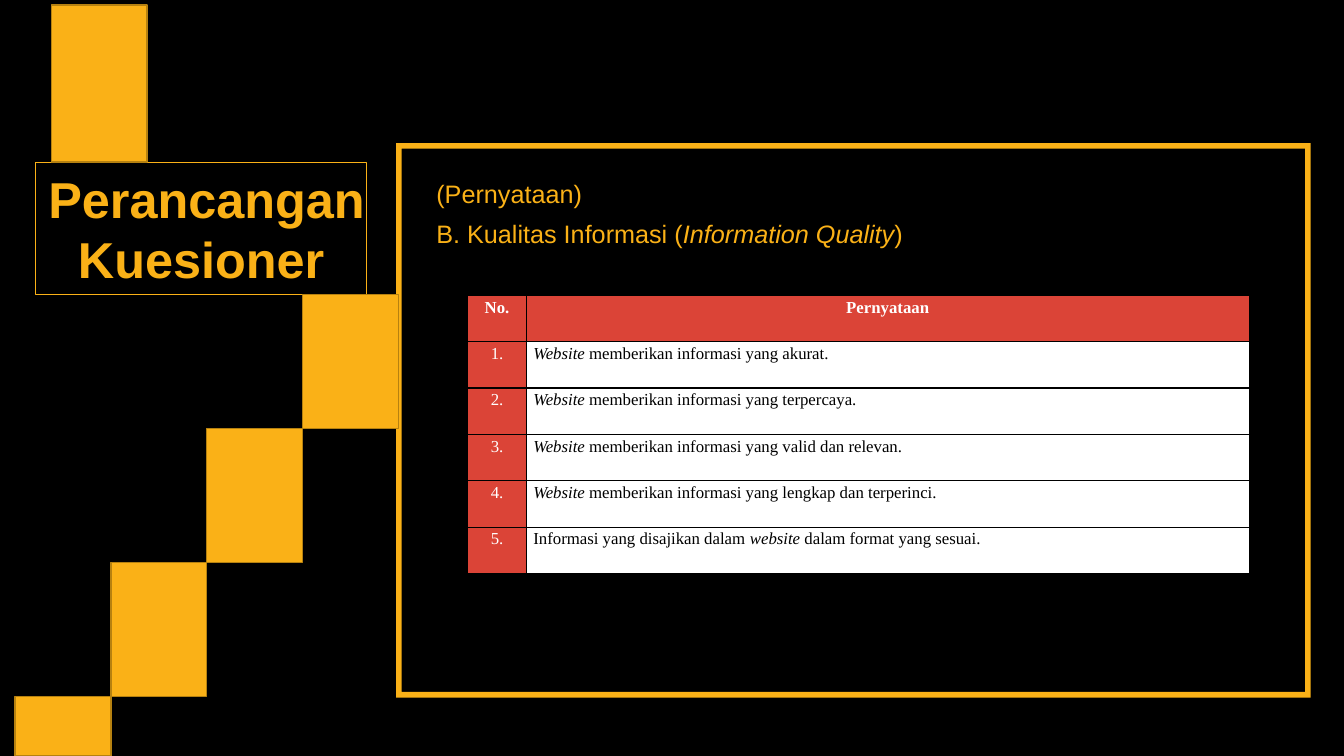
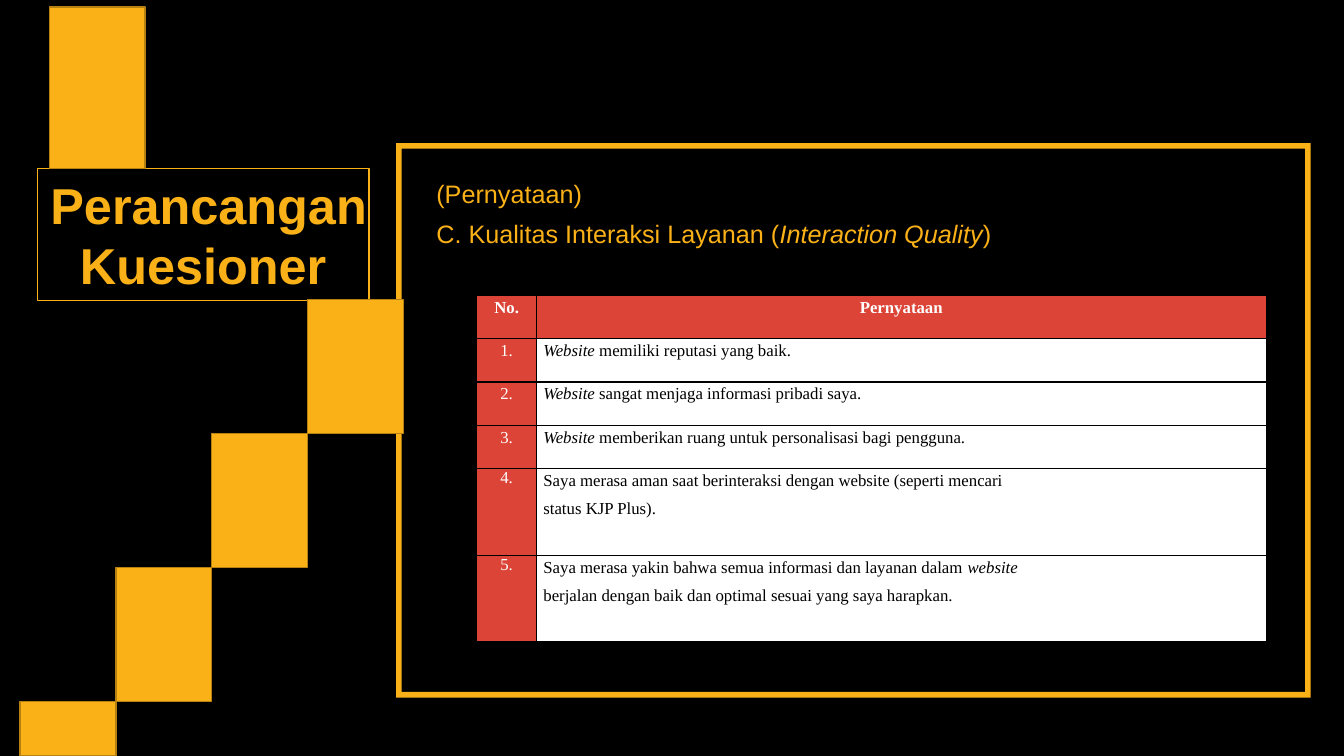
"""Build two questionnaire design slides with statement tables."""
from dataclasses import dataclass

from lxml import etree
from pptx import Presentation
from pptx.dml.color import RGBColor
from pptx.enum import shapes, text
from pptx.oxml import ns
from pptx.util import Inches, Pt


@dataclass(frozen=True)
class Theme:
    black: RGBColor = RGBColor(0x00, 0x00, 0x00)
    white: RGBColor = RGBColor(0xFF, 0xFF, 0xFF)
    amber: RGBColor = RGBColor(0xFA, 0xB1, 0x17)
    amber_dark: RGBColor = RGBColor(0xB6, 0x81, 0x10)
    red: RGBColor = RGBColor(0xDB, 0x44, 0x37)
    sans: str = "Arial"
    serif: str = "Times New Roman"
    title_size: int = 36
    lead_size: int = 18
    table_size: int = 12


theme = Theme()
align = text.PP_ALIGN


def write(frame, content, size, color, font=theme.sans, bold=False,
          alignment=align.LEFT, first_spacing=1.0, gap=0):
    """Write one paragraph per line; words between asterisks are italic."""
    for number, line in enumerate(content.split("\n")):
        paragraph = frame.add_paragraph() if number else frame.paragraphs[0]
        paragraph.alignment = alignment
        if number:
            paragraph.space_before = Pt(gap)
        else:
            paragraph.line_spacing = first_spacing
        for part, words in enumerate(line.split("*")):
            if words:
                run = paragraph.add_run()
                run.text = words
                run.font.name = font
                run.font.size = Pt(size)
                run.font.bold = bold
                run.font.italic = part % 2 == 1
                run.font.color.rgb = color


def draw(slide, kind, left, top, width, height, fill=None, line=None, weight=1):
    """Add a flat preset shape, its place given in inches."""
    shape = slide.shapes.add_shape(
        kind, Inches(left), Inches(top), Inches(width), Inches(height))
    shape.shadow.inherit = False
    if fill is None:
        shape.fill.background()
    else:
        shape.fill.solid()
        shape.fill.fore_color.rgb = fill
    if line is None:
        shape.line.fill.background()
    else:
        shape.line.color.rgb = line
        shape.line.width = Pt(weight)
    return shape


sections = [
    {
        "heading": "B. Kualitas Informasi (*Information Quality*)",
        "heading_width": 4.87,
        "title_at": (0.35, 1.61),
        "bar_at": (0.51, 0.05),
        "stairs_at": (0.15, 2.92),
        "table_left": 4.64,
        "columns": (0.58, 7.17),
        "row_height": 0.46,
        "statements": [
            "*Website* memberikan informasi yang akurat.",
            "*Website* memberikan informasi yang terpercaya.",
            "*Website* memberikan informasi yang valid dan relevan.",
            "*Website* memberikan informasi yang lengkap dan terperinci.",
            "Informasi yang disajikan dalam *website* dalam format yang sesuai.",
        ],
    },
    {
        "heading": "C. Kualitas Interaksi Layanan (*Interaction Quality*)",
        "heading_width": 5.76,
        "title_at": (0.37, 1.67),
        "bar_at": (0.49, 0.07),
        "stairs_at": (0.2, 2.97),
        "table_left": 4.73,
        "columns": (0.59, 7.24),
        "row_height": 0.43,
        "statements": [
            "*Website* memiliki reputasi yang baik.",
            "*Website* sangat menjaga informasi pribadi saya.",
            "*Website* memberikan ruang untuk personalisasi bagi pengguna.",
            "Saya merasa aman saat berinteraksi dengan website (seperti mencari\n"
            "status KJP Plus).",
            "Saya merasa yakin bahwa semua informasi dan layanan dalam *website*\n"
            "berjalan dengan baik dan optimal sesuai yang saya harapkan.",
        ],
    },
]

slide_height = 7.5
title_height = 1.31
step_width, step_height, step_count = 0.95, 1.33, 4
rectangle = shapes.MSO_SHAPE.RECTANGLE

prs = Presentation()
prs.slide_width, prs.slide_height = Inches(13.33), Inches(slide_height)
backdrop = prs.slide_master.background.fill
backdrop.solid()
backdrop.fore_color.rgb = theme.black

for section in sections:
    slide = prs.slides.add_slide(prs.slide_layouts[5])
    title_left, title_top = section["title_at"]

    border = draw(slide, shapes.MSO_SHAPE.FRAME, 3.93, 1.42, 9.07, 5.5, theme.amber)
    border.adjustments[0] = 0.01

    title = slide.shapes.title
    title.left, title.top = Inches(title_left - 0.08), Inches(title_top)
    title.width, title.height = Inches(3.45), Inches(title_height)
    title.text_frame.auto_size = text.MSO_AUTO_SIZE.NONE
    title.text_frame.vertical_anchor = text.MSO_ANCHOR.MIDDLE
    write(title.text_frame, "Perancangan\nKuesioner", theme.title_size, theme.amber,
          bold=True, alignment=align.CENTER)
    title.text_frame.paragraphs[0].alignment = align.RIGHT

    leads = [("(Pernyataan)", 1.66), (section["heading"], section["heading_width"])]
    for number, (words, width) in enumerate(leads):
        lead = slide.shapes.add_textbox(
            Inches(4.23), Inches(1.72 + 0.4 * number), Inches(width), Inches(0.4))
        write(lead.text_frame, words, theme.lead_size, theme.amber)

    rows = [("No.", "Pernyataan")]
    rows += [(f"{n}.", words) for n, words in enumerate(section["statements"], 1)]
    heights = [section["row_height"] * (1 + words.count("\n")) for _, words in rows]
    table = slide.shapes.add_table(
        len(rows), 2, Inches(section["table_left"]), Inches(2.93),
        Inches(sum(section["columns"])), Inches(sum(heights))).table
    table.horz_banding = False
    for column, width in zip(table.columns, section["columns"]):
        column.width = Inches(width)
    for r, row in enumerate(rows):
        table.rows[r].height = Inches(heights[r])
        for c, words in enumerate(row):
            is_statement = r > 0 and c == 1
            cell = table.cell(r, c)
            cell.margin_left = Inches(0.07 if is_statement else 0)
            cell.margin_right = cell.margin_top = cell.margin_bottom = 0
            cell.fill.solid()
            cell.fill.fore_color.rgb = theme.white if is_statement else theme.red
            tall_number = c == 0 and "\n" in row[1]
            write(cell.text_frame, words, theme.table_size,
                  theme.black if is_statement else theme.white,
                  font=theme.serif, bold=r == 0,
                  alignment=align.LEFT if is_statement else align.CENTER,
                  first_spacing=1.0 if tall_number else 1.15, gap=7)
            properties = cell._tc.get_or_add_tcPr()
            for position, side in enumerate(("lnL", "lnR", "lnT", "lnB")):
                edge = etree.Element(ns.qn(f"a:{side}"), w=str(Pt(1)))
                paint = etree.SubElement(edge, ns.qn("a:solidFill"))
                etree.SubElement(paint, ns.qn("a:srgbClr"), val=str(theme.black))
                properties.insert(position, edge)

    draw(slide, rectangle, title_left, title_top, 3.29, title_height,
         line=theme.amber, weight=0.75)

    bar_left, bar_top = section["bar_at"]
    blocks = [(bar_left, bar_top, title_top - bar_top)]
    stairs_left, stairs_top = section["stairs_at"]
    for step in range(step_count):
        top = stairs_top + step_height * step
        blocks.append((stairs_left + step_width * (step_count - 1 - step), top,
                       min(step_height, slide_height - top)))
    for left, top, height in blocks:
        draw(slide, rectangle, left, top, step_width, height,
             theme.amber, theme.amber_dark)

prs.save("out.pptx")
